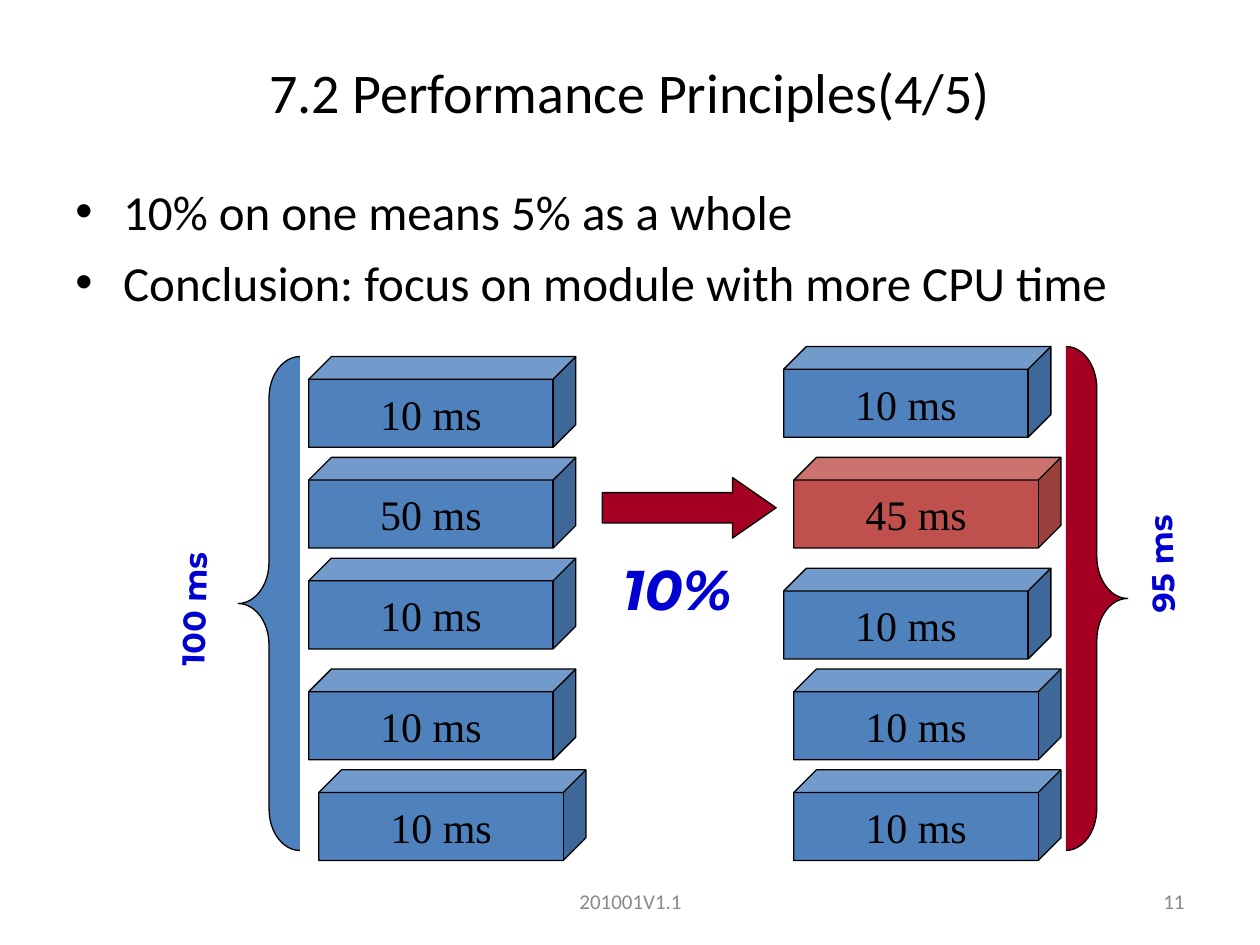
from pptx import Presentation
from pptx import util as u
from pptx.dml.color import RGBColor
from pptx.enum import shapes, text
from pptx.oxml import parse_xml
from pptx.oxml.ns import nsdecls

BLACK = RGBColor(0x00, 0x00, 0x00)
GRAY = RGBColor(0x89, 0x89, 0x89)
BLUE = RGBColor(0x4F, 0x81, 0xBD)
RED = RGBColor(0xC0, 0x50, 0x4D)
CRIMSON = RGBColor(0xA5, 0x00, 0x21)
LABEL_BLUE = RGBColor(0x00, 0x00, 0xD0)

STEP = 0.08  # fine grid for the module blocks, inches
BLOCKS_TOP = 2.75
LEFT_COLUMN, RIGHT_COLUMN = 2.45, 6.22
BLOCK_SIZE = (2.12, 0.72)

# Each block: duration, grid steps to the right, grid steps down, fill
BEFORE = [("10 ms", 0, 1, BLUE), ("50 ms", 0, 11, BLUE), ("10 ms", 0, 21, BLUE),
          ("10 ms", 0, 32, BLUE), ("10 ms", 1, 42, BLUE)]
AFTER = [("10 ms", 0, 0, BLUE), ("45 ms", 1, 11, RED), ("10 ms", 0, 22, BLUE),
         ("10 ms", 1, 32, BLUE), ("10 ms", 1, 42, BLUE)]


def inches(*lengths):
    return [u.Inches(length) for length in lengths]


def write(shape, lines, size, font, color, align=text.PP_ALIGN.LEFT,
          anchor=text.MSO_ANCHOR.MIDDLE, wrap=False, bold=False, italic=False):
    frame = shape.text_frame
    frame.text = "\n".join(lines)
    frame.word_wrap = wrap
    frame.vertical_anchor = anchor
    for para in frame.paragraphs:
        para.alignment = align
        for span in para.runs:
            span.font.size = u.Pt(size)
            span.font.name = font
            span.font.color.rgb = color
            span.font.bold = bold
            span.font.italic = italic


def add_text(page, place, lines, size, font="Calibri", color=BLACK, **style):
    box = page.shapes.add_textbox(*inches(*place))
    write(box, lines, size, font, color, **style)
    return box


def add_bullets(page, place, lines):
    box = add_text(page, place, lines, 28, anchor=text.MSO_ANCHOR.TOP, wrap=True)
    for para in box.text_frame.paragraphs:
        para.space_before = u.Pt(7)
        props = para._p.get_or_add_pPr()
        props.set("marL", str(u.Inches(0.38)))
        props.set("indent", str(u.Inches(-0.38)))
        props.append(parse_xml(f'<a:buFont {nsdecls("a")} typeface="Arial"/>'))
        props.append(parse_xml(f'<a:buChar {nsdecls("a")} char="•"/>'))


def add_outlined(page, kind, place, fill, adjustments):
    shape = page.shapes.add_shape(kind, *inches(*place))
    shape.shadow.inherit = False
    shape.fill.solid()
    shape.fill.fore_color.rgb = fill
    shape.line.color.rgb = BLACK
    shape.line.width = u.Pt(0.75)
    for index, value in enumerate(adjustments):
        shape.adjustments[index] = value
    return shape


def add_blocks(page, left, blocks):
    for duration, right, down, fill in blocks:
        place = (left + right * STEP, BLOCKS_TOP + down * STEP, *BLOCK_SIZE)
        cube = add_outlined(page, shapes.MSO_SHAPE.CUBE, place, fill, [0.25])
        write(cube, [duration], 24, "Times New Roman", BLACK,
              align=text.PP_ALIGN.CENTER)


def add_label(page, place, words, size, rotation=0, italic=False):
    label = add_text(page, place, [words], size, "Montserrat", LABEL_BLUE,
                     align=text.PP_ALIGN.CENTER, anchor=text.MSO_ANCHOR.TOP,
                     bold=True, italic=italic)
    # Full box width keeps the label on one line
    label.text_frame.margin_left = label.text_frame.margin_right = 0
    label.rotation = rotation


def main():
    deck = Presentation()
    deck.slide_width, deck.slide_height = inches(10, 7.5)
    page = deck.slides.add_slide(deck.slide_layouts[6])

    # Footer
    add_text(page, (3.42, 6.95, 3.17, 0.4), ["201001V1.1"], 12, color=GRAY,
             align=text.PP_ALIGN.CENTER, wrap=True)
    add_text(page, (7.17, 6.95, 2.33, 0.4), ["11"], 12, color=GRAY,
             align=text.PP_ALIGN.RIGHT, wrap=True)

    # Title and statements
    add_text(page, (0, 0.3, 10, 0.85), ["7.2 Performance Principles(4/5)"], 32,
             align=text.PP_ALIGN.CENTER, wrap=True)
    add_bullets(page, (0.5, 1.39, 9, 5.31),
                ["10% on one means 5% as a whole",
                 "Conclusion: focus on module with more CPU time"])

    # Modules before and after the improvement
    add_blocks(page, LEFT_COLUMN, BEFORE)
    add_blocks(page, RIGHT_COLUMN, AFTER)

    # Improvement arrow
    add_outlined(page, shapes.MSO_SHAPE.RIGHT_ARROW, (4.78, 3.79, 1.38, 0.48),
                 CRIMSON, [0.5, 0.72])
    add_label(page, (4.86, 4.35, 1.03, 0.6), "10%", 32, italic=True)

    # Totals
    add_outlined(page, shapes.MSO_SHAPE.RIGHT_BRACE, (8.46, 2.75, 0.49, 4),
                 CRIMSON, [0.68, 0.5])
    add_label(page, (8.58, 4.23, 1.36, 0.49), "95 ms", 18, rotation=268.1)
    add_outlined(page, shapes.MSO_SHAPE.LEFT_BRACE, (1.89, 2.83, 0.49, 3.92),
                 BLUE, [0.67, 0.5])
    add_label(page, (0.68, 4.61, 1.76, 0.45), "100 ms", 18, rotation=271.4)

    deck.save("out.pptx")


if __name__ == "__main__":
    main()
